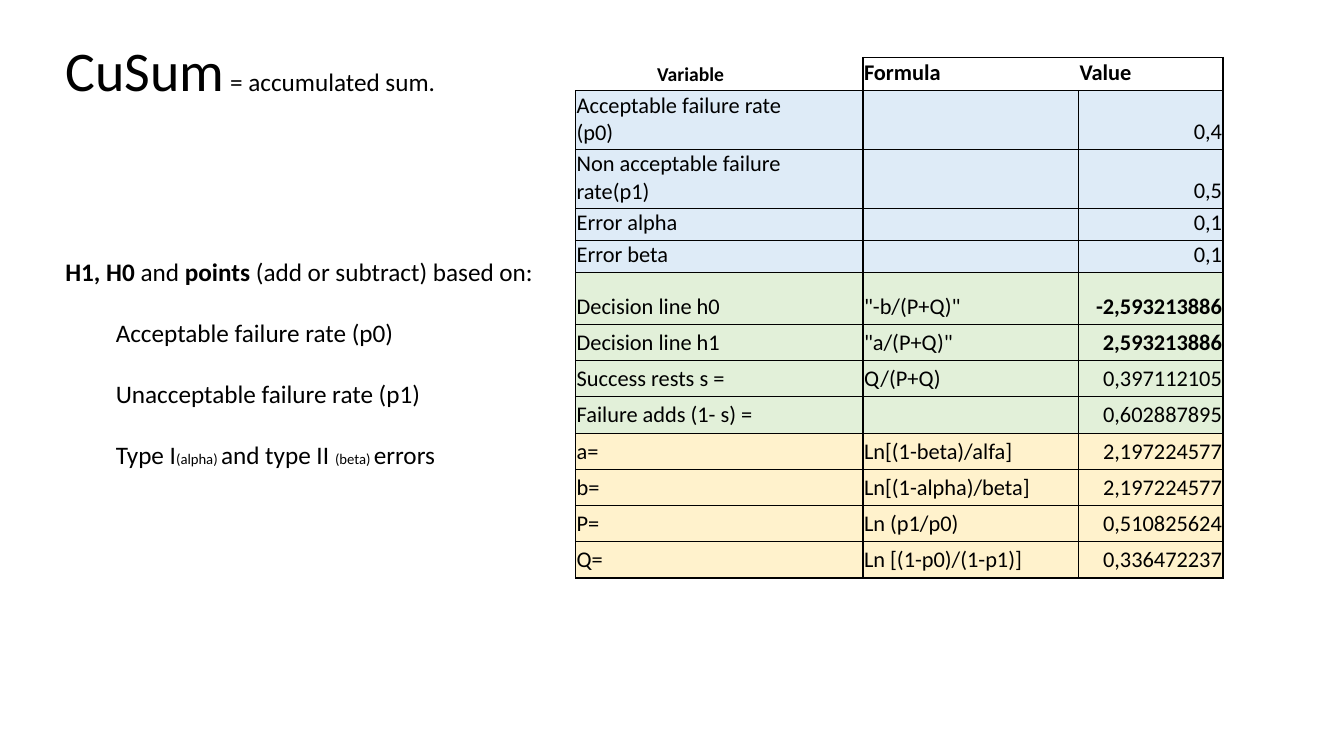
from lxml import etree
from pptx import Presentation
from pptx.dml.color import RGBColor
from pptx.enum.text import MSO_ANCHOR, PP_ALIGN
from pptx.oxml.ns import qn
from pptx.util import Inches, Pt

LEFT, MID, RIGHT = PP_ALIGN.LEFT, PP_ALIGN.CENTER, PP_ALIGN.RIGHT
LOW = MSO_ANCHOR.BOTTOM
INK = {"text": "000000", "head": None, "input": "DEEBF7",
       "limit": "E2F0D9", "term": "FFF2CC"}
THIN, THICK = 0.5, 1


class Deck:
    font = "Calibri"
    unit = 0.1

    def __init__(self, wide, high):
        self.prs = Presentation()
        self.prs.slide_width, self.prs.slide_height = Inches(wide), Inches(high)
        self.slide = self.prs.slides.add_slide(self.prs.slide_layouts[6])

    def grid(self, *units):
        return [Inches(n * self.unit) for n in units]

    def style(self, font, size, bold=None):
        font.name, font.size, font.bold = self.font, Pt(size), bold
        font.color.rgb = RGBColor.from_string(INK["text"])

    def put(self, para, runs):
        for words, size, bold in runs:
            run = para.add_run()
            run.text = words
            self.style(run.font, size, bold)

    def text(self, box, paras):
        frame = self.slide.shapes.add_textbox(*self.grid(*box)).text_frame
        frame.word_wrap = True
        for i, (gap, inset, runs) in enumerate(paras):
            para = frame.add_paragraph() if i else frame.paragraphs[0]
            para.space_before = Pt(gap)
            if inset:
                props = para._p.get_or_add_pPr()
                props.set("marL", str(self.grid(inset)[0]))
                props.set("indent", "0")
            self.put(para, runs)

    def edge(self, cell, side, width):
        line = etree.SubElement(cell._tc.get_or_add_tcPr(), qn("a:ln" + side))
        if not width:
            etree.SubElement(line, qn("a:noFill"))
            return
        line.set("w", str(Pt(width)))
        fill = etree.SubElement(line, qn("a:solidFill"))
        etree.SubElement(fill, qn("a:srgbClr")).set("val", INK["text"])

    def cell(self, cell, words, size, bold, align, tint, edges):
        cell.margin_left = cell.margin_right = cell.margin_top = Inches(0.01)
        cell.margin_bottom = Inches(0.04)
        cell.vertical_anchor = LOW
        para = cell.text_frame.paragraphs[0]
        para.alignment = align
        if words:
            self.put(para, [(words, size, bold)])
        else:
            para._p.get_or_add_endParaRPr().set("sz", str(size * 100))
        for side, width in zip("LRTB", edges):
            self.edge(cell, side, width)
        if tint:
            cell.fill.solid()
            cell.fill.fore_color.rgb = RGBColor.from_string(tint)
        else:
            cell.fill.background()

    def table(self, spot, cols, rows):
        highs = [row[0] for row in rows]
        frame = self.slide.shapes.add_table(
            len(rows), len(cols), *self.grid(*spot, sum(cols), sum(highs)))
        table = frame.table
        table.first_row = table.horz_banding = False
        for col, wide in zip(table.columns, self.grid(*cols)):
            col.width = wide
        for row, high in zip(table.rows, self.grid(*highs)):
            row.height = high
        last = len(rows) - 1
        for r, (high, kind, name, rule, value) in enumerate(rows):
            head = r == 0
            lefts = [0, 0, THICK, 0] if head else [THICK, 0, THICK, THIN]
            rights = [0, THICK, 0, THICK] if head else [0, THICK, THIN, THICK]
            base = THICK if r in (0, last) else THIN
            for c, words in enumerate((name, "", rule, value)):
                top = (THICK if c > 1 else 0) if head else THICK if r == 1 else THIN
                size = 14 if head and c == 0 else 16
                bold = head or (c == 3 and name.startswith("Decision"))
                align = (MID if c == 0 else LEFT) if head else RIGHT if c == 3 else LEFT
                self.cell(table.cell(r, c), words, size, bold, align,
                          INK[kind], (lefts[c], rights[c], top, base))


deck = Deck(13.33, 7.5)

BODY, SMALL, LINE, STEP = 18, 10.5, 22, 5
deck.text((5.5, 3, 49, 44.1), [
    (0, 0, [("CuSum", 40, False), (" = accumulated sum.", BODY, False)]),
    (5 * LINE, 0, [("H1, H0 ", BODY, True), ("and ", BODY, False),
                   ("points ", BODY, True),
                   ("(add or subtract) based on:", BODY, False)]),
    (LINE, STEP, [("Acceptable failure rate (p0)", BODY, False)]),
    (LINE, STEP, [("Unacceptable failure rate (p1)", BODY, False)]),
    (LINE, STEP, [("Type I", BODY, False), ("(alpha) ", SMALL, False),
                  ("and type II ", BODY, False), ("(beta) ", SMALL, False),
                  ("errors", BODY, False)]),
])

HEAD, TWO, ONE, TALL, ROW = 3.3, 5.8, 3.2, 5.1, 3.6
deck.table((57.1, 5.7), (22.8, 5.7, 21.4, 14.3), [
    (HEAD, "head", "Variable", "Formula", "Value"),
    (TWO, "input", "Acceptable failure rate (p0)", "", "0,4"),
    (TWO, "input", "Non acceptable failure rate(p1)", "", "0,5"),
    (ONE, "input", "Error alpha", "", "0,1"),
    (ONE, "input", "Error beta", "", "0,1"),
    (TALL, "limit", "Decision line h0", '"-b/(P+Q)"', "-2,593213886"),
    (ROW, "limit", "Decision line h1", '"a/(P+Q)"', "2,593213886"),
    (ROW, "limit", "Success rests s =", "Q/(P+Q)", "0,397112105"),
    (ROW, "limit", "Failure adds (1- s) =", "", "0,602887895"),
    (ROW, "term", "a=", "Ln[(1-beta)/alfa]", "2,197224577"),
    (ROW, "term", "b=", "Ln[(1-alpha)/beta]", "2,197224577"),
    (ROW, "term", "P=", "Ln (p1/p0)", "0,510825624"),
    (ROW, "term", "Q=", "Ln [(1-p0)/(1-p1)]", "0,336472237"),
])

deck.prs.save("out.pptx")
